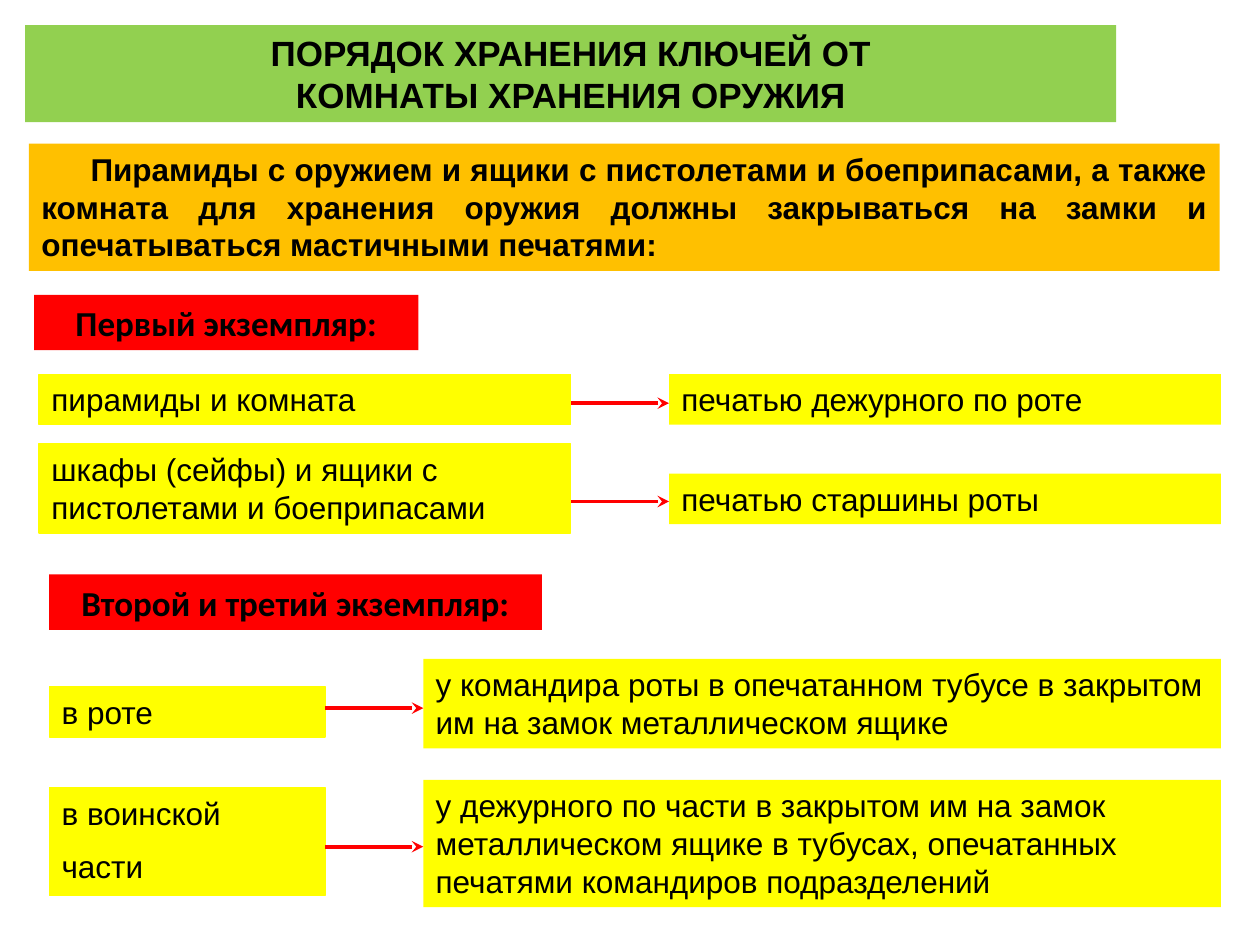
from dataclasses import dataclass

from lxml import etree
from pptx import Presentation
from pptx.dml.color import RGBColor
from pptx.enum.shapes import MSO_CONNECTOR, MSO_SHAPE
from pptx.enum.text import MSO_ANCHOR, PP_ALIGN
from pptx.oxml.ns import qn
from pptx.util import Emu, Pt

RECTANGLE = MSO_SHAPE.RECTANGLE
STRAIGHT = MSO_CONNECTOR.STRAIGHT
LEFT, CENTER, JUSTIFY = PP_ALIGN.LEFT, PP_ALIGN.CENTER, PP_ALIGN.JUSTIFY
TOP, MIDDLE = MSO_ANCHOR.TOP, MSO_ANCHOR.MIDDLE
EMU_PER_PX = 9144


@dataclass(frozen=True)
class Theme:
    text: str = "000000"
    title: str = "92D050"
    rule: str = "FFC000"
    heading: str = "FF0000"
    card: str = "FFFF00"
    arrow: str = "FF0000"
    body_font: str = "Arial"
    heading_font: str = "Calibri"
    body_size: int = 18
    title_size: int = 20
    paragraph_gap: int = 9
    border_width: float = 0.75
    arrow_width: float = 2.25


def px(length):
    return Emu(length * EMU_PER_PX)


def color(value):
    return RGBColor.from_string(value)


def write_text(frame, text, *, font, size, fill, bold=False, align=LEFT, gap=0, indent=0):
    for index, line in enumerate(text.split("\n")):
        paragraph = frame.add_paragraph() if index else frame.paragraphs[0]
        paragraph.alignment = align
        if index:
            paragraph.space_before = Pt(gap)
        if indent:
            paragraph._p.get_or_add_pPr().set("indent", str(px(indent)))
        run = paragraph.add_run()
        run.text = line
        run.font.name = font
        run.font.size = Pt(size)
        run.font.bold = bold
        run.font.color.rgb = color(fill)


class SlideBuilder:
    """Draws the elements of one slide in a shared style."""

    def __init__(self, slide, theme):
        self.slide = slide
        self.theme = theme

    def box(self, bounds, text, fill, *, border=False, anchor=TOP, **text_format):
        shape = self.slide.shapes.add_shape(RECTANGLE, *map(px, bounds))
        shape.shadow.inherit = False
        shape.fill.solid()
        shape.fill.fore_color.rgb = color(fill)
        if border:
            shape.line.color.rgb = color(fill)
            shape.line.width = Pt(self.theme.border_width)
        else:
            shape.line.fill.background()
        frame = shape.text_frame
        frame.word_wrap = True
        frame.vertical_anchor = anchor
        style = {"font": self.theme.body_font, "size": self.theme.body_size,
                 "fill": self.theme.text}
        write_text(frame, text, **(style | text_format))

    def title(self, bounds, text):
        self.box(bounds, text, self.theme.title, size=self.theme.title_size,
                 bold=True, align=CENTER)

    def rule(self, bounds, text):
        self.box(bounds, text, self.theme.rule, bold=True, align=JUSTIFY, indent=39)

    def heading(self, bounds, text):
        self.box(bounds, text, self.theme.heading, anchor=MIDDLE,
                 font=self.theme.heading_font, size=self.theme.title_size,
                 bold=True, align=CENTER)

    def card(self, bounds, text, border=False):
        self.box(bounds, text, self.theme.card, border=border,
                 gap=self.theme.paragraph_gap)

    def arrow(self, start, end, y):
        connector = self.slide.shapes.add_connector(
            STRAIGHT, px(start), px(y), px(end), px(y))
        connector.line.color.rgb = color(self.theme.arrow)
        connector.line.width = Pt(self.theme.arrow_width)
        etree.SubElement(connector.line._get_or_add_ln(), qn("a:tailEnd"), type="stealth")
        etree.SubElement(connector._element.spPr, qn("a:effectLst"))

    def link(self, source, target, arrow_y):
        source_bounds, source_text = source
        target_bounds, target_text = target
        self.card(source_bounds, source_text, border=True)
        self.card(target_bounds, target_text)
        self.arrow(source_bounds[0] + source_bounds[2], target_bounds[0], arrow_y)


def main():
    presentation = Presentation()
    presentation.slide_width, presentation.slide_height = px(1000), px(750)
    slide = presentation.slides.add_slide(presentation.slide_layouts[6])
    builder = SlideBuilder(slide, Theme())

    builder.title((20, 20, 866, 77), "ПОРЯДОК ХРАНЕНИЯ КЛЮЧЕЙ ОТ\nКОМНАТЫ ХРАНЕНИЯ ОРУЖИЯ")
    builder.rule((23, 114, 945, 101),
                 "Пирамиды с оружием и ящики с пистолетами и боеприпасами, а также "
                 "комната для хранения оружия должны закрываться на замки и "
                 "опечатываться мастичными печатями:")
    builder.heading((27, 234, 305, 44), "Первый экземпляр:")
    builder.heading((39, 456, 391, 44), "Второй и третий экземпляр:")

    links = [
        (((31, 297, 422, 40), "пирамиды и комната"),
         ((531, 297, 438, 40), "печатью дежурного по роте"), 320),
        (((31, 352, 422, 71), "шкафы (сейфы) и ящики с пистолетами и боеприпасами"),
         ((531, 376, 438, 40), "печатью старшины роты"), 398),
        (((39, 545, 219, 40), "в роте"),
         ((336, 523, 633, 71), "у командира роты в опечатанном тубусе в закрытом "
                               "им на замок металлическом ящике"), 562),
        (((39, 625, 219, 86), "в воинской\nчасти"),
         ((336, 619, 633, 101), "у дежурного по части в закрытом им на замок "
                                "металлическом ящике в тубусах, опечатанных "
                                "печатями командиров подразделений"), 672),
    ]
    for source, target, arrow_y in links:
        builder.link(source, target, arrow_y)

    presentation.save("out.pptx")


if __name__ == "__main__":
    main()
